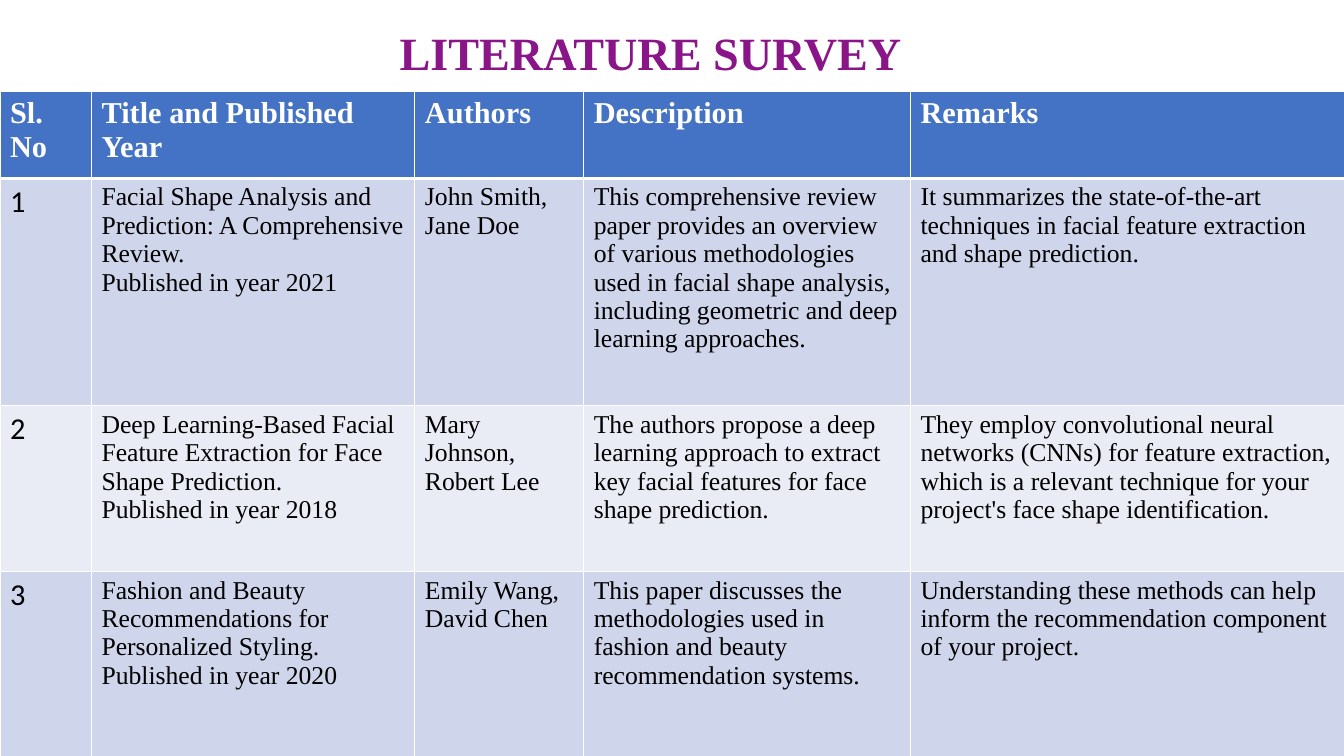
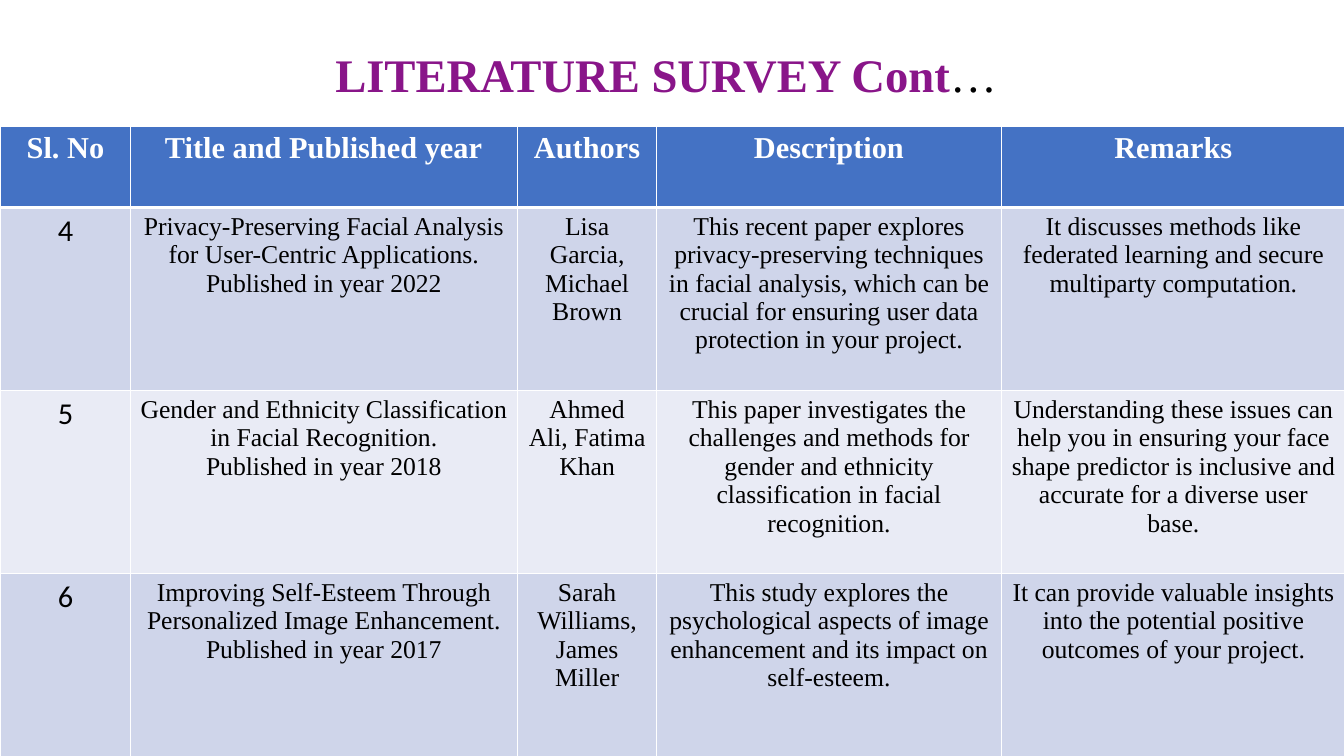
from lxml import etree
from pptx import Presentation, util as u
from pptx.dml.color import RGBColor
from pptx.enum import text
from pptx.oxml import ns

# Shared style
SERIF, SANS = "Times New Roman", "Calibri"
WHITE, BLACK, PURPLE, BLUE = "FFFFFF", "000000", "891589", "4472C4"
BANDS = ("CFD5EA", "E9EBF5")
LEFT, CENTER = text.PP_ALIGN.LEFT, text.PP_ALIGN.CENTER
HEADER_FONT = dict(name=SERIF, size=26, bold=True, color=WHITE)
NUMBER_FONT = dict(name=SANS, size=26, bold=False, color=BLACK)
BODY_FONT = dict(name=SERIF, size=22, bold=False, color=BLACK)
CELL_MARGINS = dict(margin_left=0.12, margin_right=0.12, margin_top=0.06, margin_bottom=0.06)


def color(hex_value):
    return RGBColor.from_string(hex_value)


def set_font(font, style):
    values = {**style, "size": u.Pt(style["size"])}
    font.color.rgb = color(values.pop("color"))
    for name, value in values.items():
        setattr(font, name, value)


def set_margins(target, margins):
    for name, value in margins.items():
        setattr(target, name, u.Inches(value))


def set_border(cell, side, points):
    """Draw a white line along one side of a cell: L, R, T or B."""
    properties = cell._tc.get_or_add_tcPr()
    line = etree.SubElement(properties, ns.qn("a:ln" + side), w=str(u.Pt(points)))
    fill = etree.SubElement(line, ns.qn("a:solidFill"))
    etree.SubElement(fill, ns.qn("a:srgbClr"), val=WHITE)


class SurveyDeck:
    def __init__(self):
        self.presentation = Presentation()
        self.presentation.slide_width = u.Inches(16)
        self.presentation.slide_height = u.Inches(9)
        self.slide = None

    def add_slide(self):
        self.slide = self.presentation.slides.add_slide(self.presentation.slide_layouts[6])

    def add_title(self, box, runs, size, margins):
        frame = self.slide.shapes.add_textbox(*map(u.Inches, box)).text_frame
        frame.word_wrap = True
        frame.vertical_anchor = text.MSO_ANCHOR.MIDDLE
        set_margins(frame, margins)
        paragraph = frame.paragraphs[0]
        paragraph.alignment = CENTER
        paragraph.line_spacing = 0.9
        for words, bold, hex_value in runs:
            run = paragraph.add_run()
            run.text = words
            set_font(run.font, dict(name=SERIF, size=size, bold=bold, color=hex_value))

    def add_table(self, left, top, widths, heights, rows, alignment):
        box = (left, top, sum(widths), sum(heights))
        table = self.slide.shapes.add_table(len(rows), len(widths), *map(u.Inches, box)).table
        for column, width in zip(table.columns, widths):
            column.width = u.Inches(width)
        for row, height in zip(table.rows, heights):
            row.height = u.Inches(height)
        for row_index, row in enumerate(rows):
            for column_index, words in enumerate(row):
                cell = table.cell(row_index, column_index)
                self.fill_cell(cell, row_index, column_index, words, alignment)

    def fill_cell(self, cell, row_index, column_index, words, alignment):
        header = row_index == 0
        font = HEADER_FONT if header else BODY_FONT if column_index else NUMBER_FONT
        set_margins(cell, CELL_MARGINS)
        top, bottom = (3 if row_index == 1 else 1), (3 if header else 1)
        for side, points in zip("LRTB", (1, 1, top, bottom)):
            set_border(cell, side, points)
        cell.fill.solid()
        cell.fill.fore_color.rgb = color(BLUE if header else BANDS[(row_index - 1) % 2])
        cell.text_frame.text = words
        for paragraph in cell.text_frame.paragraphs:
            paragraph.alignment = alignment
            for run in paragraph.runs:
                set_font(run.font, font)


def main():
    deck = SurveyDeck()

    # Papers 1 to 3
    deck.add_slide()
    deck.add_title((1.4, 0.53, 11.02, 0.25), [("LITERATURE SURVEY", True, PURPLE)], 39.6,
                   dict(margin_left=1.77, margin_right=0.1))
    deck.add_table(0, 1.09, (1.09, 3.85, 2.01, 3.89, 5.17), (1.03, 2.71, 1.97, 2.21), [
        ("Sl. No", "Title and Published Year", "Authors", "Description", "Remarks"),
        ("1",
         "Facial Shape Analysis and Prediction: A Comprehensive Review.\nPublished in year 2021",
         "John Smith, Jane Doe",
         "This comprehensive review paper provides an overview of various methodologies used in "
         "facial shape analysis, including geometric and deep learning approaches.",
         "It summarizes the state-of-the-art techniques in facial feature extraction and shape "
         "prediction."),
        ("2",
         "Deep Learning-Based Facial Feature Extraction for Face Shape Prediction.\n"
         "Published in year 2018",
         "Mary Johnson, Robert Lee",
         "The authors propose a deep learning approach to extract key facial features for face "
         "shape prediction.",
         "They employ convolutional neural networks (CNNs) for feature extraction, which is a "
         "relevant technique for your project's face shape identification."),
        ("3",
         "Fashion and Beauty Recommendations for Personalized Styling.\nPublished in year 2020",
         "Emily Wang, David Chen",
         "This paper discusses the methodologies used in fashion and beauty recommendation "
         "systems.",
         "Understanding these methods can help inform the recommendation component of your "
         "project."),
    ], LEFT)

    # Papers 4 to 6
    deck.add_slide()
    deck.add_table(0.01, 1.5, (1.54, 4.61, 1.66, 4.1, 4.1), (0.97, 2.18, 2.18, 2.18), [
        ("Sl. No", "Title and Published year", "Authors", "Description", "Remarks"),
        ("4",
         "Privacy-Preserving Facial Analysis for User-Centric Applications.\n"
         "Published in year 2022",
         "Lisa Garcia, Michael Brown",
         "This recent paper explores privacy-preserving techniques in facial analysis, which can "
         "be crucial for ensuring user data protection in your project.",
         "It discusses methods like federated learning and secure multiparty computation."),
        ("5",
         "Gender and Ethnicity Classification in Facial Recognition.\nPublished in year 2018",
         "Ahmed Ali, Fatima Khan",
         "This paper investigates the challenges and methods for gender and ethnicity "
         "classification in facial recognition.",
         "Understanding these issues can help you in ensuring your face shape predictor is "
         "inclusive and accurate for a diverse user base."),
        ("6",
         "Improving Self-Esteem Through Personalized Image Enhancement.\nPublished in year 2017",
         "Sarah Williams, James Miller",
         "This study explores the psychological aspects of image enhancement and its impact on "
         "self-esteem.",
         "It can provide valuable insights into the potential positive outcomes of your project."),
    ], CENTER)
    deck.add_title((1.1, 0.17, 13.8, 1.5),
                   [("LITERATURE SURVEY Cont", True, PURPLE), ("…", False, BLACK)], 40,
                   dict(margin_left=0.1, margin_right=0.24))

    deck.presentation.save("out.pptx")


if __name__ == "__main__":
    main()
